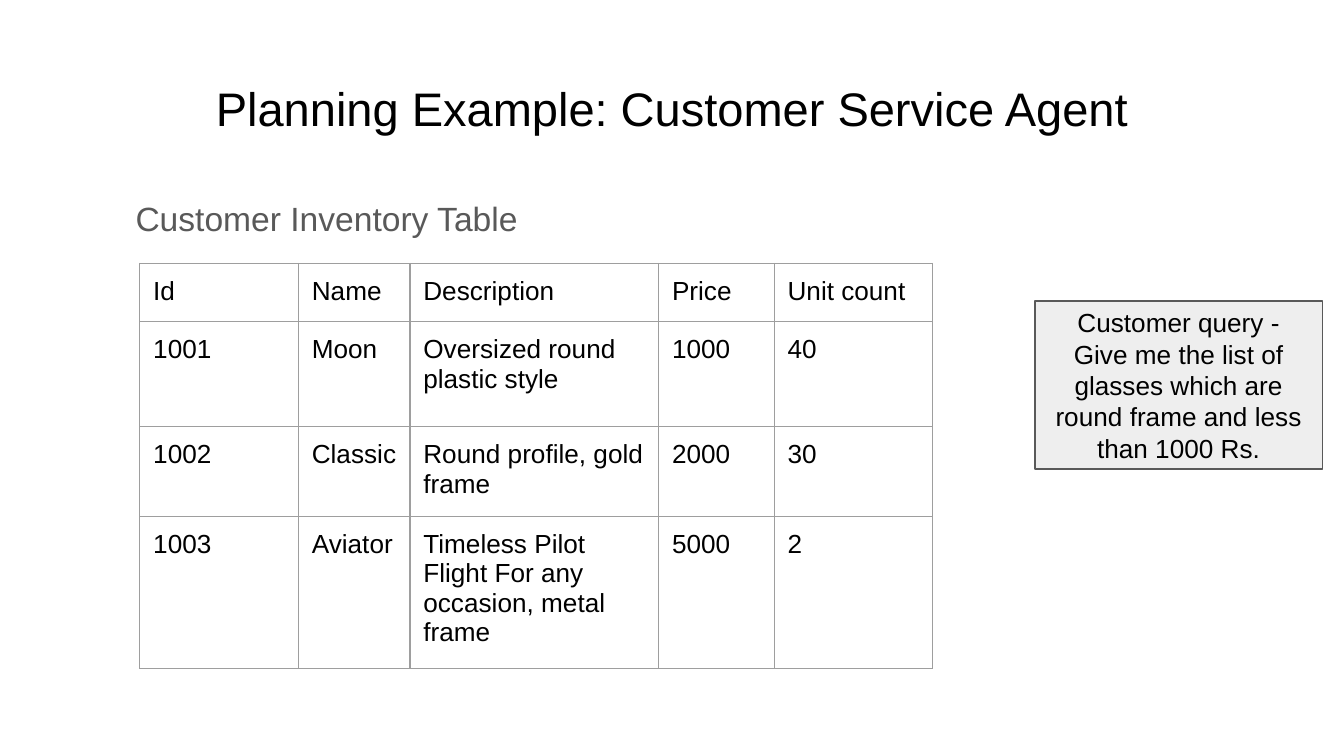
import pptx
import pptx.util
import pptx.dml.color
import pptx.enum.shapes
import pptx.enum.text
from lxml import etree

Inches, Pt = pptx.util.Inches, pptx.util.Pt
ALIGN = pptx.enum.text.PP_ALIGN
ANCHOR = pptx.enum.text.MSO_ANCHOR

# Content
TITLE = "Planning Example: Customer Service Agent"
SUBTITLE = "Customer Inventory Table"
INVENTORY = [
    ("Id", "Name", "Description", "Price", "Unit count"),
    ("1001", "Moon", "Oversized round plastic style", "1000", "40"),
    ("1002", "Classic", "Round profile, gold frame", "2000", "30"),
    ("1003", "Aviator", "Timeless Pilot Flight For any occasion, metal frame", "5000", "2"),
]
QUERY = ("Customer query -\v"
         "Give me the list of glasses which are round frame and less than 1000 Rs.")

# Style and sizes
COLORS = {"text": "000000", "muted": "595959", "grid": "9E9E9E", "box": "EEEEEE"}
FONT = "Arial"
MARGIN = Inches(0.1)
COL_WIDTHS = [1.18, 0.83, 1.85, 0.86, 1.18]
ROW_HEIGHTS = [0.38, 0.78, 0.58, 0.78]  # minimum heights; rows grow with their text


def rgb(name):
    return pptx.dml.color.RGBColor.from_string(COLORS[name])


def write(tf, text, size, color="text", align=ALIGN.LEFT):
    """Fill a text frame with one styled paragraph."""
    tf.text = text
    tf.word_wrap = True
    p = tf.paragraphs[0]
    p.alignment = align
    for r in p.runs:
        r.font.name = FONT
        r.font.size = Pt(size)
        r.font.color.rgb = rgb(color)
    return p


def set_margins(item):
    item.margin_left = item.margin_right = MARGIN
    item.margin_top = item.margin_bottom = MARGIN


def add_borders(cell):
    """Draw a thin grid line on each side; borders must precede the fill."""
    ns = "http://schemas.openxmlformats.org/drawingml/2006/main"
    tc_pr = cell._tc.get_or_add_tcPr()
    for i, side in enumerate(("lnL", "lnR", "lnT", "lnB")):
        ln = etree.Element(f"{{{ns}}}{side}", w=str(Pt(0.75)))
        fill = etree.SubElement(ln, f"{{{ns}}}solidFill")
        etree.SubElement(fill, f"{{{ns}}}srgbClr", val=COLORS["grid"])
        tc_pr.insert(i, ln)


# Widescreen 16:9 slide
prs = pptx.Presentation()
prs.slide_width = Inches(10)
prs.slide_height = prs.slide_width * 9 // 16
s = prs.slides.add_slide(prs.slide_layouts[6])

# Title
tf = s.shapes.add_textbox(Inches(0.34), Inches(0.49), Inches(9.32), Inches(0.63)).text_frame
set_margins(tf)
write(tf, TITLE, 25.2, align=ALIGN.CENTER)

# Table heading, indented by half an inch
tf = s.shapes.add_textbox(Inches(0.41), Inches(1.33), Inches(4.98), Inches(0.51)).text_frame
set_margins(tf)
p = write(tf, SUBTITLE, 18, "muted")
p.line_spacing = 1.15
p.space_after = Pt(12)
p._p.get_or_add_pPr().set("marL", str(Inches(0.5)))

# Inventory table
table = s.shapes.add_table(
    len(INVENTORY), len(COL_WIDTHS), Inches(1.04), Inches(1.96),
    Inches(sum(COL_WIDTHS)), Inches(sum(ROW_HEIGHTS))).table
table.first_row = table.horz_banding = False
for column, width in zip(table.columns, COL_WIDTHS):
    column.width = Inches(width)
for row, height, values in zip(table.rows, ROW_HEIGHTS, INVENTORY):
    row.height = Inches(height)
    for cell, value in zip(row.cells, values):
        set_margins(cell)
        cell.fill.background()
        add_borders(cell)
        write(cell.text_frame, value, 14)

# Customer query box
box = s.shapes.add_shape(pptx.enum.shapes.MSO_SHAPE.RECTANGLE,
                         Inches(7.7), Inches(2.24), Inches(2.14), Inches(1.25))
box.shadow.inherit = False
box.fill.solid()
box.fill.fore_color.rgb = rgb("box")
box.line.color.rgb = rgb("muted")
box.line.width = Pt(0.75)
set_margins(box.text_frame)
box.text_frame.vertical_anchor = ANCHOR.MIDDLE
write(box.text_frame, QUERY, 14, align=ALIGN.CENTER)

prs.save("out.pptx")
